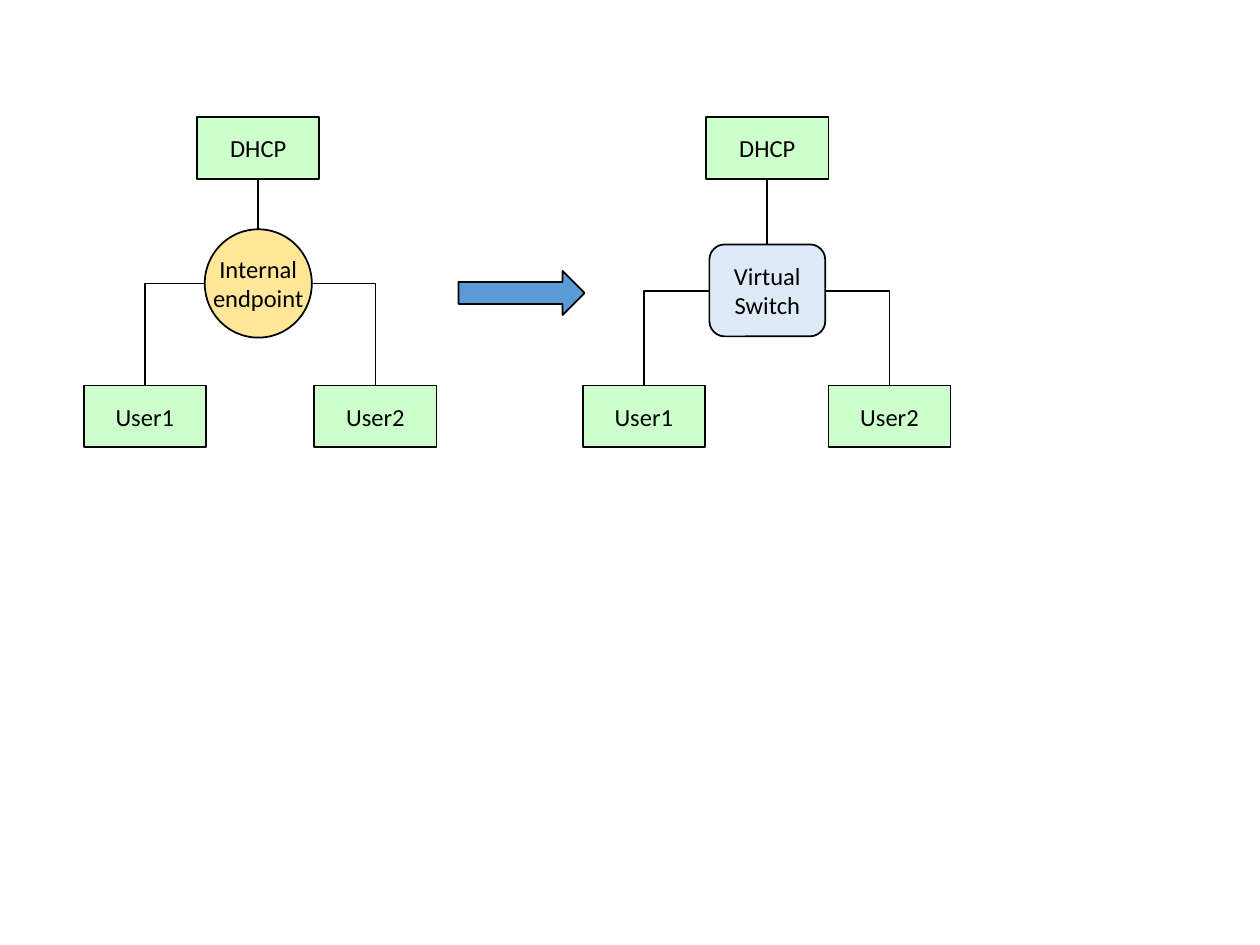
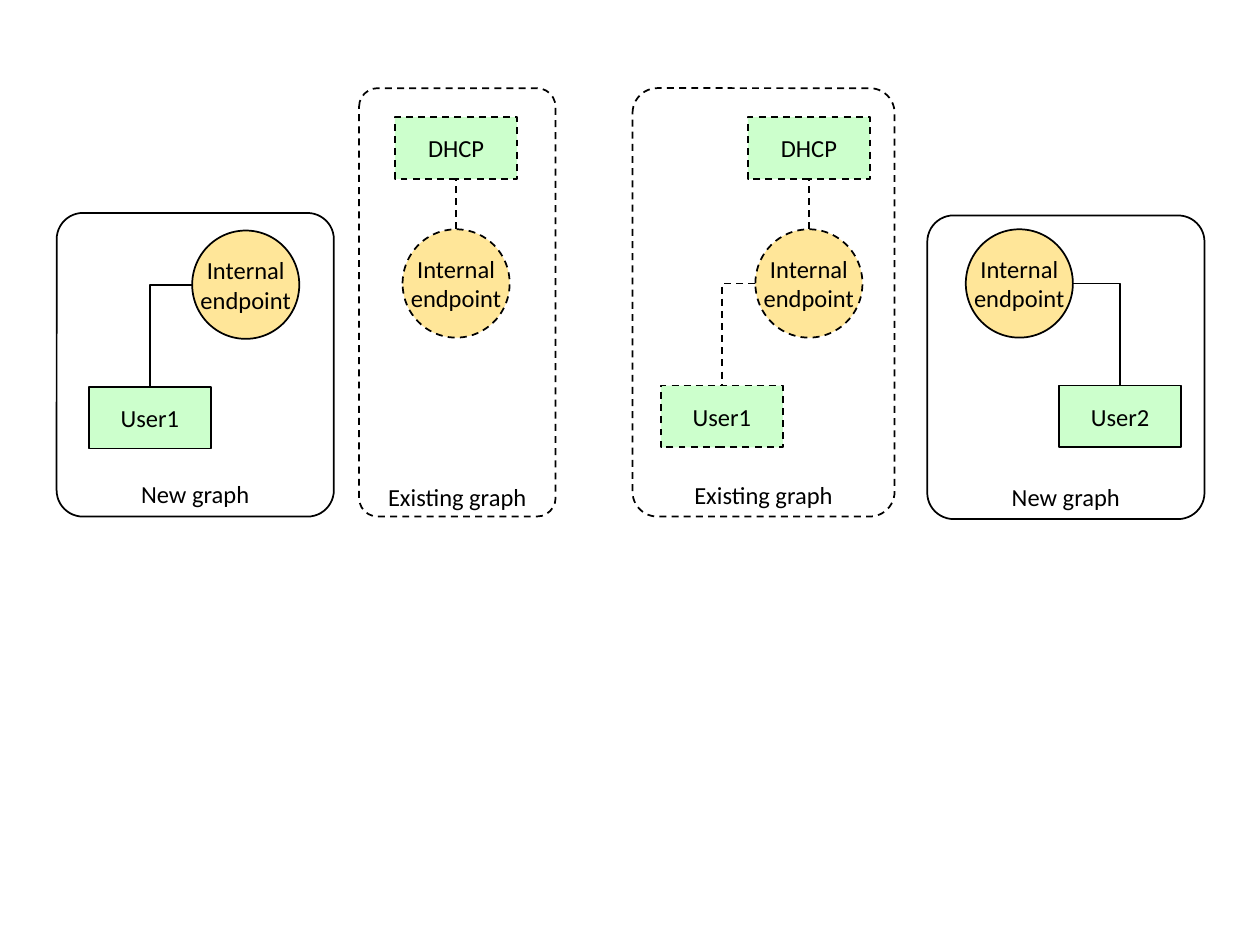
import pptx
import pptx.util
import pptx.dml.color
import pptx.enum.dml
import pptx.enum.shapes
import pptx.enum.text
import pptx.oxml
import pptx.oxml.ns

Inches = pptx.util.Inches
RGB = pptx.dml.color.RGBColor
SHAPE = pptx.enum.shapes.MSO_SHAPE
LINK = pptx.enum.shapes.MSO_CONNECTOR
ANCHOR = pptx.enum.text.MSO_ANCHOR
qn = pptx.oxml.ns.qn

BLACK = RGB(0x00, 0x00, 0x00)
GREEN = RGB(0xCC, 0xFF, 0xCC)
YELLOW = RGB(0xFF, 0xE6, 0x99)
PALE = RGB(0xDE, 0xEB, 0xF7)
BLUE = RGB(0x5B, 0x9B, 0xD5)

FONT = "Calibri"
NODE_W, NODE_H = 0.97, 0.49
DHCP_UP = 0.89    # hub top up to the DHCP top
USER_DOWN = 1.24  # hub top down to the user top

# kind: shape, fill, width, drop below the hub top, height, side of the links
HUBS = {
    "endpoint": (SHAPE.OVAL, YELLOW, 0.85, 0, 0.86, 0.43),
    "switch": (SHAPE.ROUNDED_RECTANGLE, PALE, 0.92, 0.12, 0.73, 0.49),
}


def set_line(line, dash):
    line.color.rgb = BLACK
    line.width = pptx.util.Pt(1)
    if dash:
        line.dash_style = pptx.enum.dml.MSO_LINE.DASH


def add_shape(slide, kind, box, fill=None, dash=False):
    shape = slide.shapes.add_shape(kind, *map(Inches, box))
    shape.shadow.inherit = False
    if fill is None:
        shape.fill.background()
    else:
        shape.fill.solid()
        shape.fill.fore_color.rgb = fill
    set_line(shape.line, dash)
    return shape


def set_text(shape, text, inset=(0, 0), anchor=ANCHOR.MIDDLE, wrap=True):
    frame = shape.text_frame
    frame.text = text
    frame.word_wrap = wrap
    frame.vertical_anchor = anchor
    frame.margin_left = frame.margin_right = Inches(inset[0])
    frame.margin_top = frame.margin_bottom = Inches(inset[1])
    for para in frame.paragraphs:
        para.alignment = pptx.enum.text.PP_ALIGN.CENTER
        for run in para.runs:
            run.font.name = FONT
            run.font.size = pptx.util.Pt(14)
            run.font.color.rgb = BLACK


def add_link(slide, start, end, dash):
    """Join two points, with one corner if they are not in line."""
    bent = start[0] != end[0]
    kind = LINK.ELBOW if bent else LINK.STRAIGHT
    link = slide.shapes.add_connector(kind, *map(Inches, start + end))
    set_line(link.line, dash)
    props = link.element.spPr
    if bent:
        props.find(qn("a:prstGeom")).set("prst", "bentConnector2")
    props.append(pptx.oxml.parse_xml(
        f'<a:effectLst {pptx.oxml.ns.nsdecls("a")}/>'))


def add_node(slide, mid, top, name, dash):
    box = (mid - NODE_W / 2, top, NODE_W, NODE_H)
    set_text(add_shape(slide, SHAPE.RECTANGLE, box, GREEN, dash),
             name, (0.04, 0.04))


def add_hub(slide, mid, top, kind, dash):
    form, fill, width, drop, height, _ = HUBS[kind]
    hub = add_shape(slide, form, (mid - width / 2, top + drop, width, height),
                    fill, dash)
    if kind == "endpoint":
        set_text(hub, "Internal\nendpoint", wrap=False)
    else:
        set_text(hub, "Virtual Switch", (0.1, 0.05))


def add_graph(slide, left, top, hub, users, dhcp=True, kind="endpoint",
              dash=False):
    """Draw a hub at the given top; hub and users are centres from the left."""
    mid = left + hub
    _, _, width, drop, _, side = HUBS[kind]
    if dhcp:
        add_node(slide, mid, top - DHCP_UP, "DHCP", dash)
        add_link(slide, (mid, top + drop),
                 (mid, top - DHCP_UP + NODE_H), dash)
    add_hub(slide, mid, top, kind, dash)
    for name, place in users.items():
        spot = left + place
        add_node(slide, spot, top + USER_DOWN, name, dash)
        edge = mid + (width / 2 if spot > mid else -width / 2)
        add_link(slide, (edge, top + side), (spot, top + USER_DOWN), dash)


def add_panel(slide, box, label, drop, hub, users):
    """Draw a framed graph whose hub lies drop below the frame top."""
    old = label == "Existing graph"
    add_graph(slide, box[0], box[1] + drop, hub, users, dhcp=old, dash=old)
    frame = add_shape(slide, SHAPE.ROUNDED_RECTANGLE, box, dash=old)
    frame.adjustments[0] = 0.095
    set_text(frame, label, anchor=ANCHOR.BOTTOM)


def add_change(slide):
    """Show the endpoint graph turning into a switch graph."""
    add_graph(slide, 0.66, 1.82, 1.39, {"User1": 0.49, "User2": 2.32})
    add_graph(slide, 4.62, 1.82, 1.47, {"User1": 0.49, "User2": 2.44},
              kind="switch")
    add_shape(slide, SHAPE.RIGHT_ARROW, (3.64, 2.15, 1, 0.35), BLUE)


def add_steps(slide):
    """Show each new graph beside the existing one it joins."""
    add_panel(slide, (0.45, 1.69, 2.2, 2.41), "New graph",
              0.14, 1.5, {"User1": 0.74})
    add_panel(slide, (2.85, 0.7, 1.56, 3.4), "Existing graph", 1.12, 0.77, {})
    add_panel(slide, (5.02, 0.7, 2.08, 3.4), "Existing graph",
              1.12, 1.4, {"User1": 0.71})
    add_panel(slide, (7.36, 1.71, 2.2, 2.41), "New graph",
              0.11, 0.73, {"User2": 1.53})


def main():
    deck = pptx.Presentation()
    deck.slide_width, deck.slide_height = Inches(10), Inches(7.5)
    for draw in (add_change, add_steps):
        draw(deck.slides.add_slide(deck.slide_layouts[6]))
    deck.save("out.pptx")


if __name__ == "__main__":
    main()
